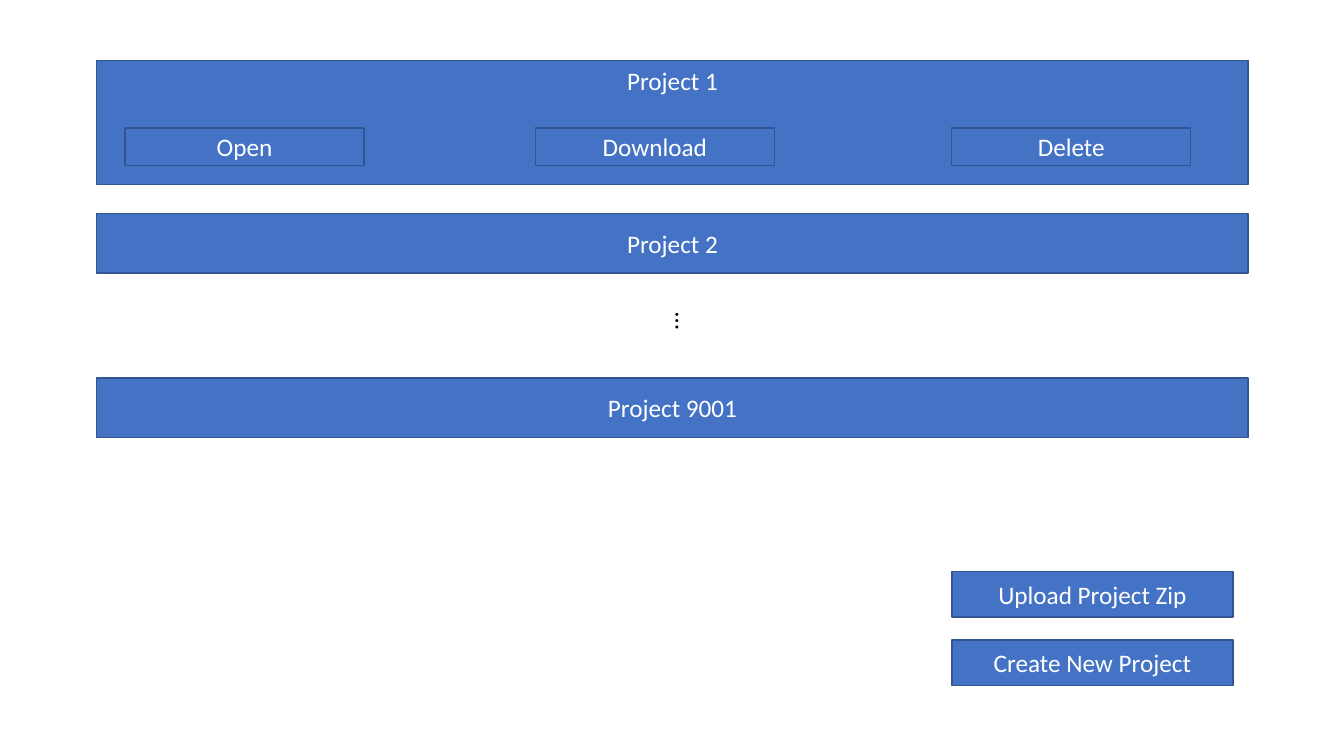
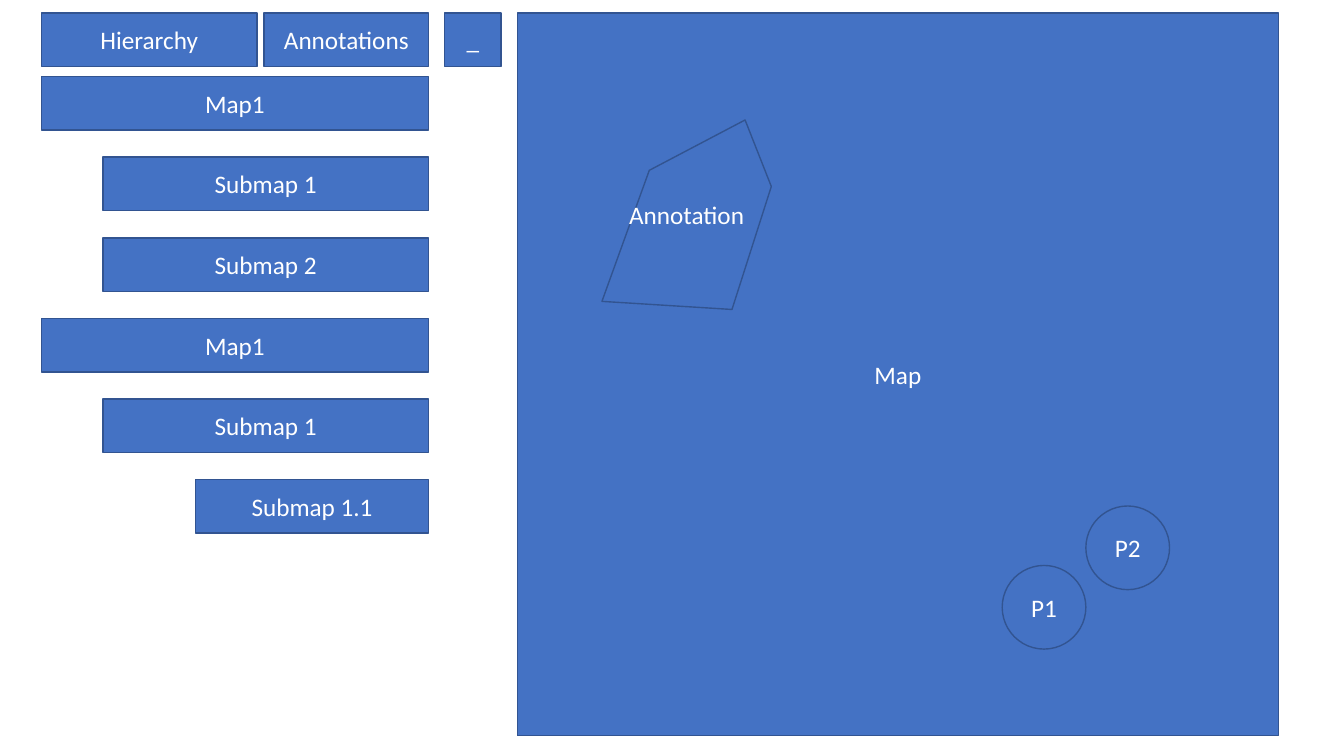
"""Build two wireframe slides: a project list and a map editor."""
import pptx
import pptx.dml.color
import pptx.enum.shapes
import pptx.enum.text
import pptx.util

Inches = pptx.util.Inches
Shapes = pptx.enum.shapes.MSO_SHAPE
Anchor = pptx.enum.text.MSO_ANCHOR


def color(value):
    """Turn a hex string into a colour."""
    return pptx.dml.color.RGBColor.from_string(value)


class Wireframe:
    """Hold the shared style and draw on the current slide."""

    FILL = "4472C4"
    LINE = "325491"
    LIGHT = "FFFFFF"
    DARK = "000000"
    FONT = "Calibri"
    SIZE = 18

    def __init__(self, presentation):
        """Keep the presentation and start without a slide."""
        self.presentation = presentation
        self.slide = None

    def add_slide(self):
        """Start a new blank slide."""
        self.slide = self.presentation.slides.add_slide(self.presentation.slide_layouts[6])

    def label(self, shape, text, text_color, anchor):
        """Set centred text in the shared font."""
        frame = shape.text_frame
        frame.text = text
        frame.word_wrap = True
        frame.vertical_anchor = anchor
        paragraph = frame.paragraphs[0]
        paragraph.alignment = pptx.enum.text.PP_ALIGN.CENTER
        font = paragraph.runs[0].font
        font.name = self.FONT
        font.size = pptx.util.Pt(self.SIZE)
        font.color.rgb = color(text_color)

    def style(self, shape, text, anchor=Anchor.MIDDLE):
        """Apply the shared fill, outline and label."""
        shape.shadow.inherit = False
        shape.fill.solid()
        shape.fill.fore_color.rgb = color(self.FILL)
        shape.line.color.rgb = color(self.LINE)
        shape.line.width = pptx.util.Pt(1)
        self.label(shape, text, self.LIGHT, anchor)

    def box(self, text, left, top, width, height, kind=Shapes.RECTANGLE, anchor=Anchor.MIDDLE):
        """Draw a labelled preset shape."""
        shape = self.slide.shapes.add_shape(
            kind, Inches(left), Inches(top), Inches(width), Inches(height))
        self.style(shape, text, anchor)

    def polygon(self, text, points):
        """Draw a labelled closed outline."""
        corners = [(Inches(x), Inches(y)) for x, y in points]
        builder = self.slide.shapes.build_freeform(*corners[0])
        builder.add_line_segments(corners[1:], close=True)
        self.style(builder.convert_to_shape(), text)

    def vertical_text(self, text, left, top, width, height):
        """Add a text box whose text runs downwards."""
        shape = self.slide.shapes.add_textbox(
            Inches(left), Inches(top), Inches(width), Inches(height))
        self.label(shape, text, self.DARK, Anchor.TOP)
        shape.text_frame.auto_size = pptx.enum.text.MSO_AUTO_SIZE.SHAPE_TO_FIT_TEXT
        body_properties = shape.element.txBody.bodyPr
        body_properties.set("vert", "eaVert")


def project_list(wireframe):
    """Draw the project list with its buttons."""
    left, width, button_left = 0.96, 11.42, 9.44
    wireframe.add_slide()
    wireframe.box("Project 1", left, 0.6, width, 1.23, anchor=Anchor.TOP)
    wireframe.box("Project 2", left, 2.12, width, 0.59)
    wireframe.vertical_text("…", 6.5, 3, 0.5, 0.5)
    wireframe.box("Project 9001", left, 3.75, width, 0.59)
    for text, top in (("Create New Project", 6.35), ("Upload Project Zip", 5.67)):
        wireframe.box(text, button_left, top, 2.79, 0.45)
    for text, action_left in (("Open", 1.24), ("Download", 5.31), ("Delete", button_left)):
        wireframe.box(text, action_left, 1.27, 2.37, 0.37)


def map_editor(wireframe):
    """Draw the map tree, the tabs and the map."""
    top, height, tree_right = 0.13, 0.53, 4.25
    indents = (0.41, 1.02, 1.94)
    tree = (("Map1", 0), ("Submap 1", 1), ("Submap 2", 1),
            ("Map1", 0), ("Submap 1", 1), ("Submap 1.1", 2))
    wireframe.add_slide()
    for row, (text, level) in enumerate(tree):
        left = indents[level]
        wireframe.box(text, left, 0.76 + 0.8 * row, tree_right - left, height)
    wireframe.box("_", 4.41, top, 0.56, height)
    wireframe.box("Map", 5.13, top, 7.55, 7.17)
    wireframe.box("Hierarchy", indents[0], top, 2.14, height)
    wireframe.box("Annotations", 2.62, top, tree_right - 2.62, height)
    wireframe.polygon("Annotation", [
        (6.44, 1.69), (5.97, 2.99), (7.26, 3.07), (7.65, 1.85), (7.39, 1.19)])
    for text, left, point_top in (("P1", 9.94, 5.61), ("P2", 10.77, 5.02)):
        wireframe.box(text, left, point_top, 0.83, 0.83, kind=Shapes.OVAL)


presentation = pptx.Presentation()
presentation.slide_width = Inches(13.33)
presentation.slide_height = Inches(7.5)
wireframe = Wireframe(presentation)
project_list(wireframe)
map_editor(wireframe)
presentation.save("out.pptx")
